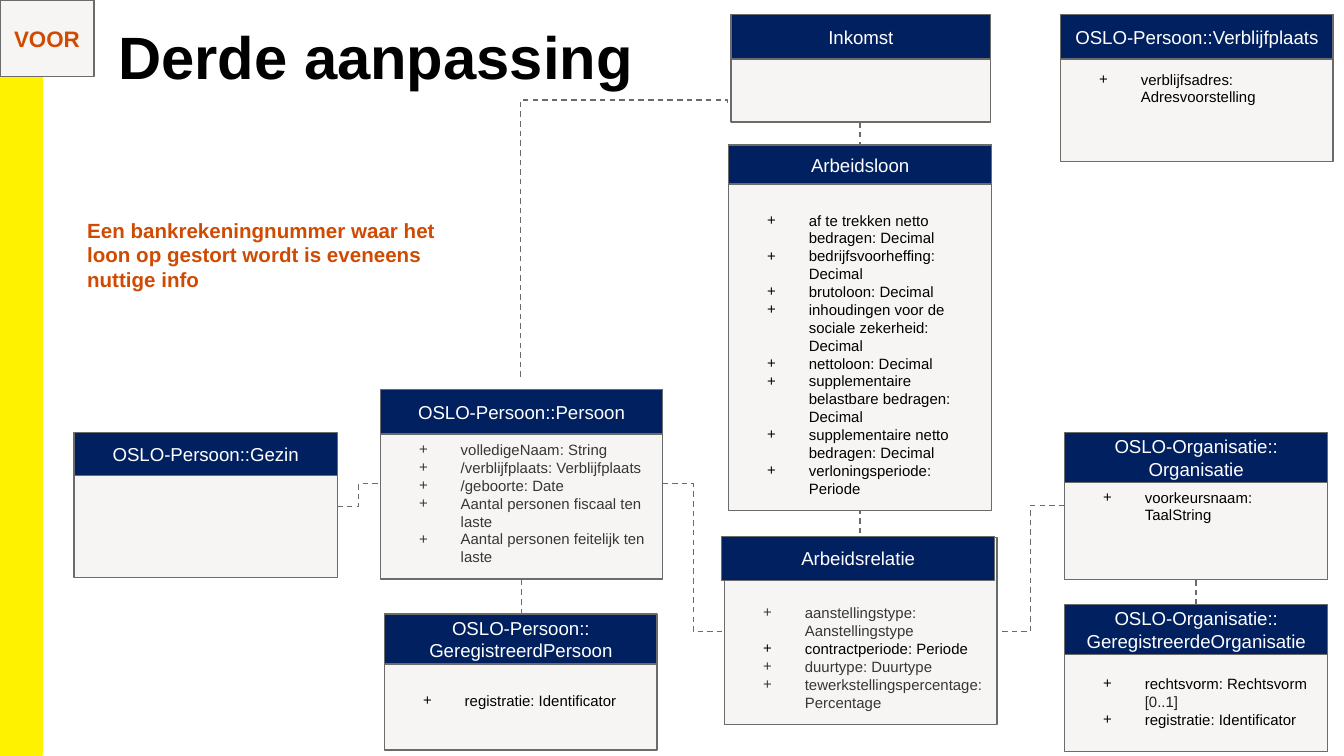
from dataclasses import dataclass

from lxml import etree
from pptx import Presentation
from pptx.dml.color import RGBColor
from pptx.enum import dml, shapes, text
from pptx.oxml.ns import qn
from pptx.util import Inches, Pt

FONT = "Arial"
NAVY, PAPER, GREY = "002060", "F6F5F3", "6B6B6B"
ORANGE, YELLOW, WHITE = "D04A02", "FFF200", "FFFFFF"
BLACK, CHARCOAL, INK = "000000", "373636", "202124"
MIDDLE, BOTTOM = text.MSO_ANCHOR.MIDDLE, text.MSO_ANCHOR.BOTTOM


@dataclass
class Box:
    left: float
    top: float
    width: float
    height: float


@dataclass
class Attribute:
    text: str
    color: str = BLACK
    multiplicity: str = ""


@dataclass
class UmlClass:
    name: str
    header: Box
    body: Box
    attributes: tuple[Attribute, ...] = ()
    anchor: text.MSO_ANCHOR = MIDDLE
    inset_top: float = 0.1
    inset_bottom: float = 0.1


@dataclass
class Relation:
    start: tuple[float, float]
    end: tuple[float, float]


def rgb(color: str) -> RGBColor:
    return RGBColor.from_string(color)


def set_font(font, size: float, color: str, bold: bool = False) -> None:
    font.name, font.size, font.bold = FONT, Pt(size), bold
    font.color.rgb = rgb(color)


def place(shape, box: Box) -> None:
    shape.left, shape.top = Inches(box.left), Inches(box.top)
    shape.width, shape.height = Inches(box.width), Inches(box.height)


def set_frame(frame, anchor, side: float = 0.1, top: float = 0.1, bottom: float = 0.1) -> None:
    frame.word_wrap = True
    frame.vertical_anchor = anchor
    frame.margin_left = frame.margin_right = Inches(side)
    frame.margin_top, frame.margin_bottom = Inches(top), Inches(bottom)


def write(frame, content: str, size: float, color: str, bold: bool = False,
          alignment=text.PP_ALIGN.LEFT) -> None:
    frame.text = content
    for paragraph in frame.paragraphs:
        paragraph.alignment = alignment
        set_font(paragraph.font, size, color, bold)


def add_rectangle(slide, box: Box, fill: str, line: str = GREY, line_width: float = 0.75):
    shape = slide.shapes.add_shape(shapes.MSO_SHAPE.RECTANGLE, 0, 0, 0, 0)
    place(shape, box)
    shape.shadow.inherit = False
    shape.fill.solid()
    shape.fill.fore_color.rgb = rgb(fill)
    shape.line.color.rgb = rgb(line)
    shape.line.width = Pt(line_width)
    return shape


def add_label(slide, box: Box, content: str, fill: str, size: float, color: str,
              bold: bool = False) -> None:
    frame = add_rectangle(slide, box, fill).text_frame
    set_frame(frame, MIDDLE)
    write(frame, content, size, color, bold, text.PP_ALIGN.CENTER)


def add_plus_bullet(paragraph, color: str) -> None:
    properties = paragraph._p.get_or_add_pPr()
    properties.set("marL", str(Inches(0.5)))
    properties.set("indent", str(Inches(-0.31)))
    bullet_color = etree.SubElement(properties, qn("a:buClr"))
    etree.SubElement(bullet_color, qn("a:srgbClr"), val=color)
    etree.SubElement(properties, qn("a:buFont"), typeface=FONT)
    etree.SubElement(properties, qn("a:buChar"), char="+")


def add_class(slide, uml: UmlClass) -> None:
    frame = add_rectangle(slide, uml.body, PAPER).text_frame
    set_frame(frame, uml.anchor, top=uml.inset_top, bottom=uml.inset_bottom)
    for index, attribute in enumerate(uml.attributes):
        paragraph = frame.add_paragraph() if index else frame.paragraphs[0]
        paragraph.alignment = text.PP_ALIGN.LEFT
        add_plus_bullet(paragraph, attribute.color)
        set_font(paragraph.font, 8, attribute.color)
        paragraph.add_run().text = attribute.text
        if attribute.multiplicity:
            run = paragraph.add_run()
            run.text = attribute.multiplicity
            run.font.color.rgb = rgb(INK)
    add_label(slide, uml.header, uml.name, NAVY, 10, WHITE)


def add_relation(slide, relation: Relation):
    vertical = relation.start[0] == relation.end[0]
    kind = shapes.MSO_CONNECTOR.STRAIGHT if vertical else shapes.MSO_CONNECTOR.ELBOW
    points = (Inches(value) for value in (*relation.start, *relation.end))
    connector = slide.shapes.add_connector(kind, *points)
    connector.line.color.rgb = rgb(GREY)
    connector.line.width = Pt(0.75)
    connector.line.dash_style = dml.MSO_LINE.DASH
    etree.SubElement(connector._element.spPr, qn("a:effectLst"))
    return connector


def turn_upwards(connector, bend: int) -> None:
    """Rotate an elbow so that it leaves upwards; bend is in 1/100000 of its length."""
    properties = connector._element.spPr
    properties.find(qn("a:xfrm")).set("rot", str(270 * 60000))
    geometry = properties.find(qn("a:prstGeom"))
    adjustments = geometry.find(qn("a:avLst"))
    if adjustments is None:
        adjustments = etree.SubElement(geometry, qn("a:avLst"))
    etree.SubElement(adjustments, qn("a:gd"), name="adj1", fmla=f"val {bend}")


def attributes(*names: str, color: str = BLACK) -> tuple[Attribute, ...]:
    return tuple(Attribute(name, color) for name in names)


CLASSES = (
    UmlClass("OSLO-Persoon::Gezin", Box(0.55, 3.22, 1.96, 0.32), Box(0.55, 3.23, 1.96, 1.07)),
    UmlClass("OSLO-Persoon::Persoon", Box(2.83, 2.9, 2.1, 0.33), Box(2.83, 2.9, 2.1, 1.41),
             attributes("volledigeNaam: String", "/verblijfplaats: Verblijfplaats",
                        "/geboorte: Date", "Aantal personen fiscaal ten laste",
                        "Aantal personen feitelijk ten laste", color=CHARCOAL), BOTTOM),
    UmlClass("Arbeidsloon", Box(5.42, 1.08, 1.96, 0.29), Box(5.42, 1.08, 1.96, 2.72),
             attributes("af te trekken netto bedragen: Decimal",
                        "bedrijfsvoorheffing: Decimal", "brutoloon: Decimal",
                        "inhoudingen voor de sociale zekerheid: Decimal",
                        "nettoloon: Decimal", "supplementaire belastbare bedragen: Decimal",
                        "supplementaire netto bedragen: Decimal",
                        "verloningsperiode: Periode"), BOTTOM),
    UmlClass("OSLO-Organisatie::\nOrganisatie", Box(7.92, 3.22, 1.96, 0.37),
             Box(7.92, 3.22, 1.96, 1.09), attributes("voorkeursnaam: TaalString")),
    UmlClass("Inkomst", Box(5.44, 0.11, 1.93, 0.33), Box(5.44, 0.38, 1.93, 0.53)),
    UmlClass("OSLO-Persoon::\nGeregistreerdPersoon", Box(2.86, 4.57, 2.03, 0.37),
             Box(2.86, 4.57, 2.03, 1.01), attributes("registratie: Identificator"),
             inset_top=0.37),
    UmlClass("OSLO-Organisatie::\nGeregistreerdeOrganisatie", Box(7.92, 4.5, 1.96, 0.37),
             Box(7.92, 4.5, 1.96, 1.09),
             (Attribute("rechtsvorm: Rechtsvorm ", multiplicity="[0..1]"),
              Attribute("registratie: Identificator")), BOTTOM, inset_bottom=0.17),
    UmlClass("OSLO-Persoon::Verblijfplaats", Box(7.89, 0.11, 2.03, 0.33),
             Box(7.89, 0.11, 2.03, 1.09), attributes("verblijfsadres: Adresvoorstelling")),
    UmlClass("Arbeidsrelatie", Box(5.37, 3.99, 2.03, 0.33), Box(5.39, 4, 2.03, 1.39),
             (Attribute("aanstellingstype: Aanstellingstype", CHARCOAL),
              Attribute("contractperiode: Periode"),
              Attribute("duurtype: Duurtype", CHARCOAL),
              Attribute("tewerkstellingspercentage: Percentage", CHARCOAL)), BOTTOM),
)

RELATIONS = (
    Relation((2.51, 3.77), (2.83, 3.6)),
    Relation((4.93, 3.6), (5.39, 4.7)),
    Relation((7.92, 3.76), (7.42, 4.7)),
    Relation((6.4, 4.04), (6.4, 3.8)),
    Relation((6.4, 0.91), (6.4, 1.08)),
    Relation((3.88, 4.57), (3.88, 4.31)),
    Relation((8.9, 4.5), (8.9, 4.31)),
)


def main() -> None:
    presentation = Presentation()
    presentation.slide_width = Inches(10)
    presentation.slide_height = presentation.slide_width * 9 // 16
    slide = presentation.slides.add_slide(presentation.slide_layouts[5])

    add_rectangle(slide, Box(0, 0, 0.31, 5.62), YELLOW, YELLOW, 1)
    for relation in RELATIONS:
        add_relation(slide, relation)
    person_to_income = add_relation(slide, Relation((3.64, 1.03), (5.65, 2.57)))
    turn_upwards(person_to_income, 102600)
    for uml in CLASSES:
        add_class(slide, uml)

    title = slide.shapes.title
    place(title, Box(0.81, 0.11, 4.48, 0.68))
    set_frame(title.text_frame, text.MSO_ANCHOR.TOP, side=0.07, top=0.04, bottom=0.04)
    title.text_frame.auto_size = text.MSO_AUTO_SIZE.NONE
    write(title.text_frame, "Derde aanpassing", 32, BLACK, True)

    remark = slide.shapes.add_textbox(0, 0, 0, 0)
    place(remark, Box(0.55, 1.52, 2.92, 0.76))
    set_frame(remark.text_frame, text.MSO_ANCHOR.TOP)
    write(remark.text_frame, "Een bankrekeningnummer waar het loon op gestort wordt "
          "is eveneens nuttige info", 11, ORANGE, True)
    add_label(slide, Box(0, 0, 0.7, 0.57), "VOOR", PAPER, 12, ORANGE, True)

    presentation.save("out.pptx")


if __name__ == "__main__":
    main()
